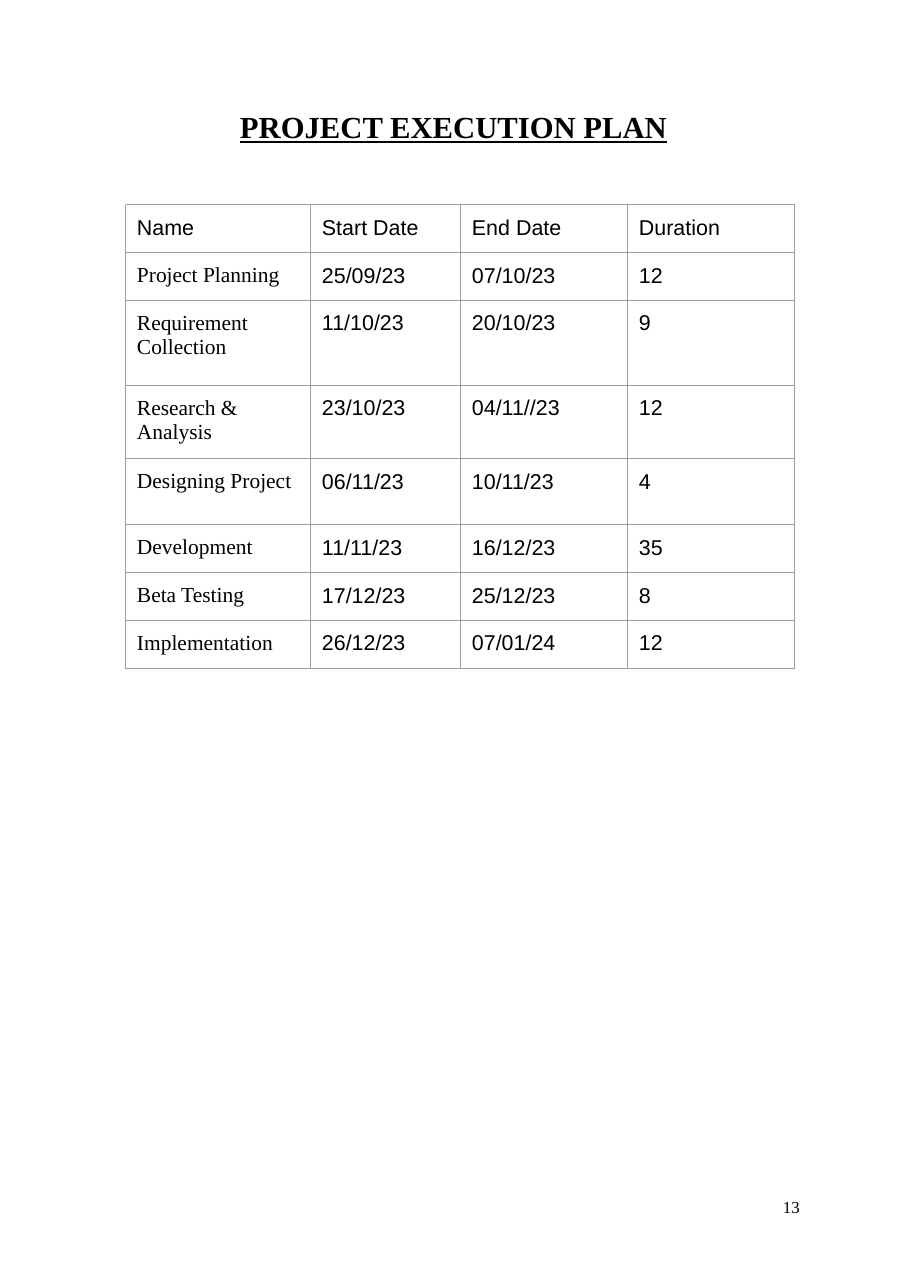
from lxml.etree import SubElement
from pptx import Presentation
from pptx.dml.color import RGBColor
from pptx.enum.text import MSO_ANCHOR, MSO_AUTO_SIZE, PP_ALIGN
from pptx.oxml.ns import qn
from pptx.util import Pt

EMU_PER_PX = 8298
BLACK = RGBColor(0x00, 0x00, 0x00)
GREY = RGBColor(0x9E, 0x9E, 0x9E)
SERIF = "Times New Roman"
SANS = "Arial"

COLUMNS = [185, 150, 167, 167]
ROWS = [43, 43, 85, 66, 66, 43, 43, 43]
SCHEDULE = [
    ["Name", "Start Date", "End Date", "Duration"],
    ["Project Planning", "25/09/23", "07/10/23", "12"],
    ["Requirement Collection", "11/10/23", "20/10/23", "9"],
    ["Research & Analysis", "23/10/23", "04/11//23", "12"],
    ["Designing Project", "06/11/23", "10/11/23", "4"],
    ["Development", "11/11/23", "16/12/23", "35"],
    ["Beta Testing", "17/12/23", "25/12/23", "8"],
    ["Implementation", "26/12/23", "07/01/24", "12"],
]


def px(n):
    return n * EMU_PER_PX


def write(tf, text, font=SERIF, size=14, bold=False, underline=False, indent=0, spacing=1.0):
    p = tf.paragraphs[0]
    p.alignment = PP_ALIGN.LEFT
    p.line_spacing = spacing
    p._p.get_or_add_pPr().set("marL", str(px(indent)))
    r = p.add_run()
    r.text = text
    r.font.name = font
    r.font.size = Pt(size)
    r.font.bold = bold
    r.font.underline = underline
    r.font.color.rgb = BLACK


class Page:
    def __init__(self, prs, margin=11, border=GREY, border_width=0.75):
        self.slide = prs.slides.add_slide(prs.slide_layouts[5])
        self.margin = px(margin)
        self.border = border
        self.border_width = Pt(border_width)

    def fit(self, sp, box):
        sp.left, sp.top, sp.width, sp.height = map(px, box)
        tf = sp.text_frame
        tf.margin_left = tf.margin_top = tf.margin_right = tf.margin_bottom = 0
        tf.vertical_anchor = MSO_ANCHOR.TOP
        tf.word_wrap = True
        tf.auto_size = MSO_AUTO_SIZE.SHAPE_TO_FIT_TEXT
        return tf

    def title(self, text, box, **style):
        tf = self.fit(self.slide.shapes.title, box)
        tf.margin_top = px(1)
        write(tf, text, **style)

    def text(self, text, box, **style):
        sp = self.slide.shapes.add_textbox(0, 0, 0, 0)
        write(self.fit(sp, box), text, **style)

    def outline(self, cell):
        tcPr = cell._tc.get_or_add_tcPr()
        for side in ("lnL", "lnR", "lnT", "lnB"):
            ln = SubElement(tcPr, qn(f"a:{side}"), w=str(self.border_width))
            fill = SubElement(ln, qn("a:solidFill"))
            SubElement(fill, qn("a:srgbClr"), val=str(self.border))

    def table(self, data, left, top, widths, heights):
        frame = self.slide.shapes.add_table(
            len(heights), len(widths), px(left), px(top), px(sum(widths)), px(sum(heights)))
        table = frame.table
        table.first_row = table.horz_banding = False
        for column, width in zip(table.columns, widths):
            column.width = px(width)
        for row, height in zip(table.rows, heights):
            row.height = px(height)
        for i, values in enumerate(data):
            for j, value in enumerate(values):
                cell = table.cell(i, j)
                cell.margin_left = cell.margin_right = self.margin
                cell.margin_top = cell.margin_bottom = self.margin
                self.outline(cell)
                cell.fill.background()
                write(cell.text_frame, value, font=SERIF if i and not j else SANS)


def main():
    prs = Presentation()
    prs.slide_width, prs.slide_height = px(910), px(1288)
    page = Page(prs)
    page.title("PROJECT EXECUTION PLAN", (240, 107, 430, 40), size=20, bold=True, underline=True)
    page.table(SCHEDULE, 126, 205, COLUMNS, ROWS)
    page.text("13", (779, 1193, 26, 21), size=11, indent=4, spacing=1.19)
    prs.save("out.pptx")


if __name__ == "__main__":
    main()
